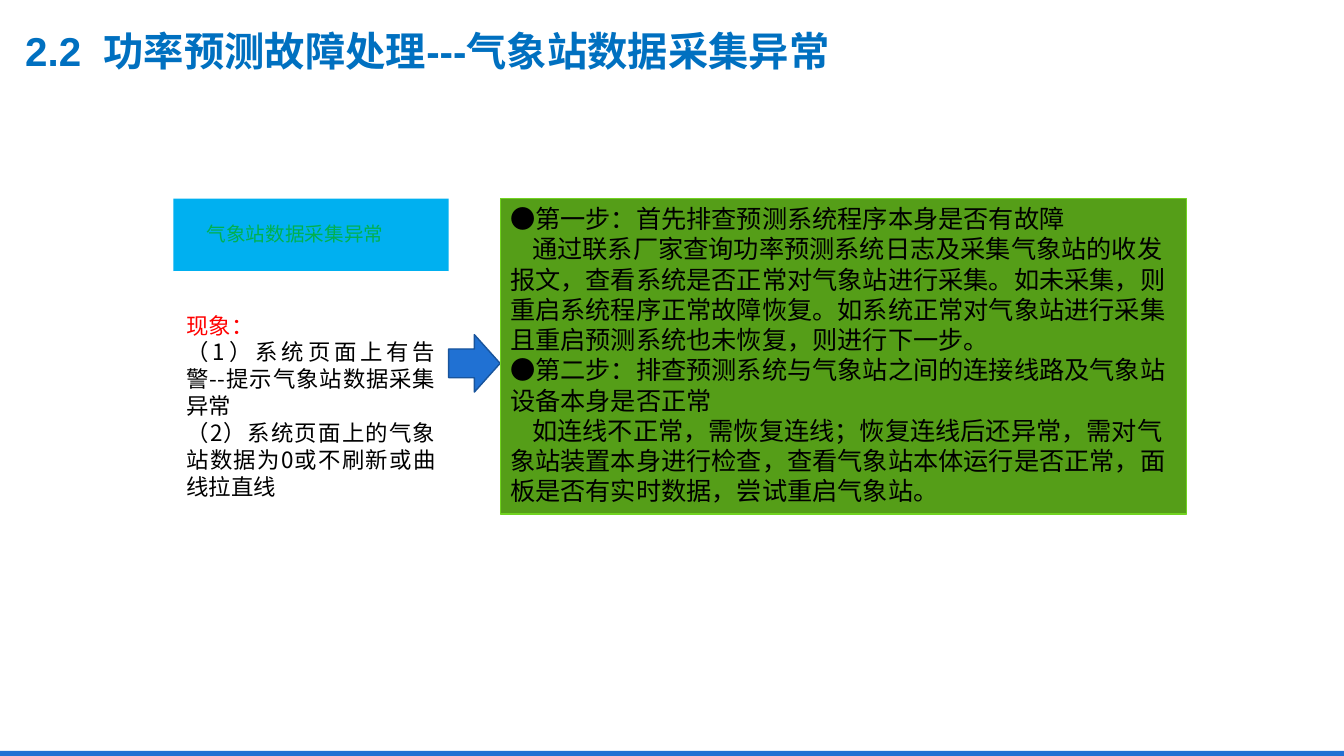
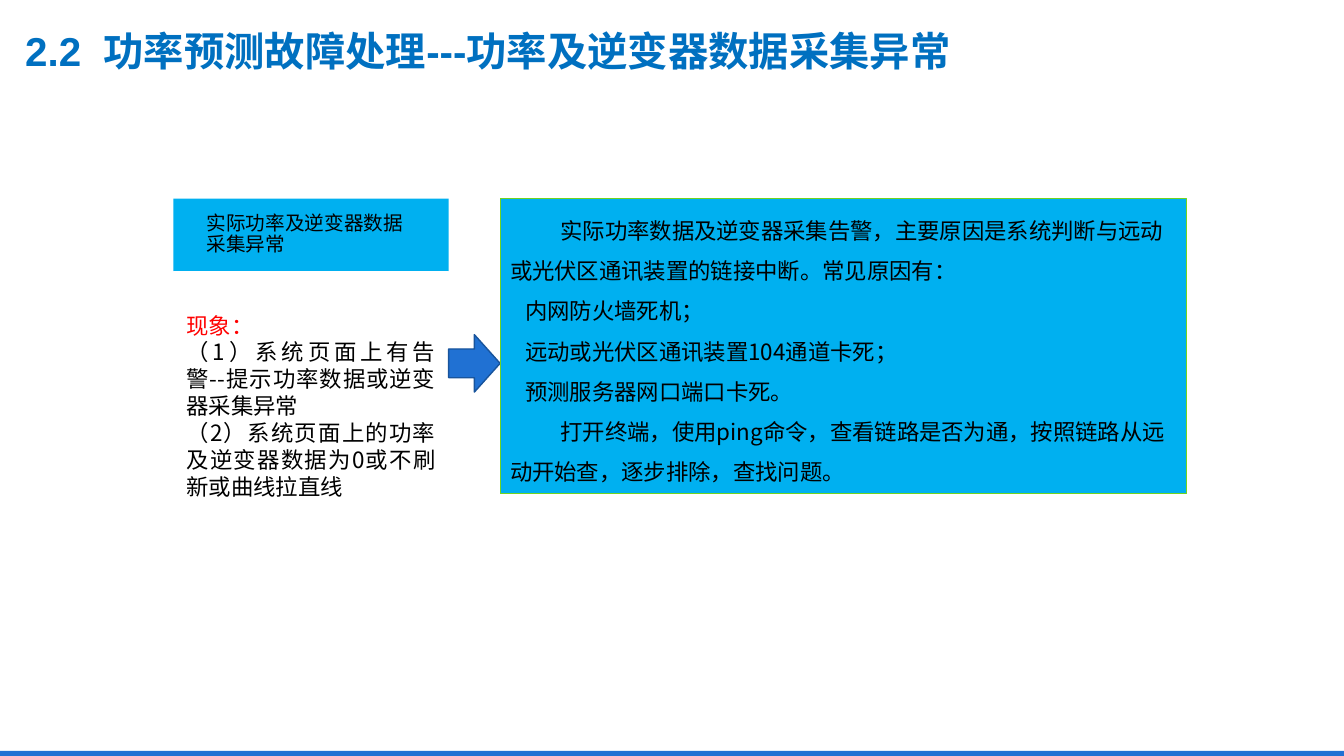
from lxml import etree
from pptx import Presentation
from pptx.dml.color import RGBColor
from pptx.enum.shapes import MSO_SHAPE as Shape
from pptx.enum.text import MSO_ANCHOR as Anchor, PP_ALIGN as Align
from pptx.oxml.ns import qn
from pptx.util import Inches, Pt

# Shared look
SLIDE_W, SLIDE_H = 13.33, 7.5
BAND_H = 0.05
BLUE, SKY, WHITE, BLACK, RED = "2071D3", "00B0F0", "FFFFFF", "000000", "FF0000"
CJK_FONT = "Noto Sans CJK SC"
TITLE_STYLE = {"name": "Arial", "size": Pt(28.8), "bold": True}

# Flow layout: label above symptoms, then arrow, then remedy
LEFT, TOP = 1.72, 1.97
LABEL_W, LABEL_H, SYMPTOM_H = 2.73, 0.72, 2.67
ARROW_TOP, ARROW_W, ARROW_H = 3.32, 0.51, 0.57
REMEDY_W = 6.81

# Content: remedy paragraphs are (first-line indent, text)
SLIDES = [
    {
        "title": "2.2  功率预测故障处理---气象站数据采集异常",
        "label": "气象站数据采集异常",
        "label_color": "00B050",
        "symptoms": [
            "（1）系统页面上有告警--提示气象站数据采集异常",
            "（2）系统页面上的气象站数据为0或不刷新或曲线拉直线",
        ],
        "remedy": [
            (0, "●第一步：首先排查预测系统程序本身是否有故障"),
            (0.22, "通过联系厂家查询功率预测系统日志及采集气象站的收发报文，"
                   "查看系统是否正常对气象站进行采集。如未采集，则重启系统程序正常故障恢复。"
                   "如系统正常对气象站进行采集且重启预测系统也未恢复，则进行下一步。"),
            (0, "●第二步：排查预测系统与气象站之间的连接线路及气象站设备本身是否正常"),
            (0.22, "如连线不正常，需恢复连线；恢复连线后还异常，需对气象站装置本身进行检查，"
                   "查看气象站本体运行是否正常，面板是否有实时数据，尝试重启气象站。"),
        ],
        "remedy_fill": "559E18", "remedy_h": 3.13,
        "remedy_size": 18, "remedy_spacing": 1.0,
    },
    {
        "title": "2.2  功率预测故障处理---功率及逆变器数据采集异常",
        "label": "实际功率及逆变器数据采集异常",
        "label_color": BLACK,
        "symptoms": [
            "（1）系统页面上有告警--提示功率数据或逆变器采集异常",
            "（2）系统页面上的功率及逆变器数据为0或不刷新或曲线拉直线",
        ],
        "remedy": [
            (0.5, "实际功率数据及逆变器采集告警，主要原因是系统判断与远动或光伏区通讯装置的链接中断。"
                  "常见原因有："),
            (0.15, "内网防火墙死机；"),
            (0.15, "远动或光伏区通讯装置104通道卡死；"),
            (0.15, "预测服务器网口端口卡死。"),
            (0.5, "打开终端，使用ping命令，查看链路是否为通，"
                  "按照链路从远动开始查，逐步排除，查找问题。"),
        ],
        "remedy_fill": SKY, "remedy_h": 2.93,
        "remedy_size": 16, "remedy_spacing": 1.5,
    },
]


def rgb(color):
    return RGBColor.from_string(color)


def add_box(page, kind, left, top, width, height, fill, line=None, line_width=1):
    box = page.shapes.add_shape(kind, *map(Inches, (left, top, width, height)))
    box.shadow.inherit = False
    box.fill.solid()
    box.fill.fore_color.rgb = rgb(fill)
    if line:
        box.line.color.rgb = rgb(line)
        box.line.width = Pt(line_width)
    else:
        box.line.fill.background()
    return box


def write(box, lines, style, anchor=Anchor.MIDDLE, inset=(0.1, 0.05),
          align=Align.LEFT, spacing=1.0):
    """Fill a box with lines of (first-line indent, text, colour)."""
    frame = box.text_frame
    across, down = map(Inches, inset)
    frame_format = {"word_wrap": True, "vertical_anchor": anchor,
                    "margin_left": across, "margin_right": across,
                    "margin_top": down, "margin_bottom": down}
    for key, value in frame_format.items():
        setattr(frame, key, value)
    for index, (indent, text, color) in enumerate(lines):
        para = frame.paragraphs[0] if index == 0 else frame.add_paragraph()
        para.alignment, para.line_spacing = align, spacing
        if indent:
            props = para._p.get_or_add_pPr()
            props.set("marL", "0")
            props.set("indent", str(Inches(indent)))
        run = para.add_run()
        run.text = text
        run.font.color.rgb = rgb(color)
        for key, value in style.items():
            setattr(run.font, key, value)
        east_asian = etree.SubElement(run._r.get_or_add_rPr(), qn("a:ea"))
        east_asian.set("typeface", CJK_FONT)


def body_style(size):
    return {"name": CJK_FONT, "size": Pt(size)}


def add_frame(page, title):
    """Bottom band and title, the same on every slide."""
    add_box(page, Shape.RECTANGLE, 0, SLIDE_H - BAND_H, SLIDE_W, BAND_H, BLUE)
    box = page.shapes.add_textbox(*map(Inches, (0.25, 0.24, 12.13, 0.52)))
    write(box, [(0, title, "0070C0")], TITLE_STYLE, inset=(0, 0))


def add_flow(page, item):
    # Fault label
    label = add_box(page, Shape.RECTANGLE, LEFT, TOP, LABEL_W, LABEL_H, SKY)
    write(label, [(0, item["label"], item["label_color"])], body_style(14),
          inset=(0.33, 0.05), spacing=0.9)

    # Symptoms
    symptoms = add_box(page, Shape.RECTANGLE, LEFT, TOP + LABEL_H,
                       LABEL_W, SYMPTOM_H, WHITE)
    lines = [(0, "现象：", RED)] + [(0, text, BLACK) for text in item["symptoms"]]
    write(symptoms, lines, body_style(16), inset=(0.13, 0.07), align=Align.JUSTIFY)

    # Arrow and remedy
    arrow_left = LEFT + LABEL_W
    add_box(page, Shape.RIGHT_ARROW, arrow_left, ARROW_TOP, ARROW_W, ARROW_H,
            BLUE, "18549C")
    remedy = add_box(page, Shape.RECTANGLE, arrow_left + ARROW_W, TOP, REMEDY_W,
                     item["remedy_h"], item["remedy_fill"], "71D320", 0.75)
    write(remedy, [(indent, text, BLACK) for indent, text in item["remedy"]],
          body_style(item["remedy_size"]), anchor=Anchor.TOP,
          spacing=item["remedy_spacing"])


def main():
    deck = Presentation()
    deck.slide_width, deck.slide_height = Inches(SLIDE_W), Inches(SLIDE_H)
    for item in SLIDES:
        page = deck.slides.add_slide(deck.slide_layouts[6])
        add_frame(page, item["title"])
        add_flow(page, item)
    deck.save("out.pptx")


if __name__ == "__main__":
    main()
